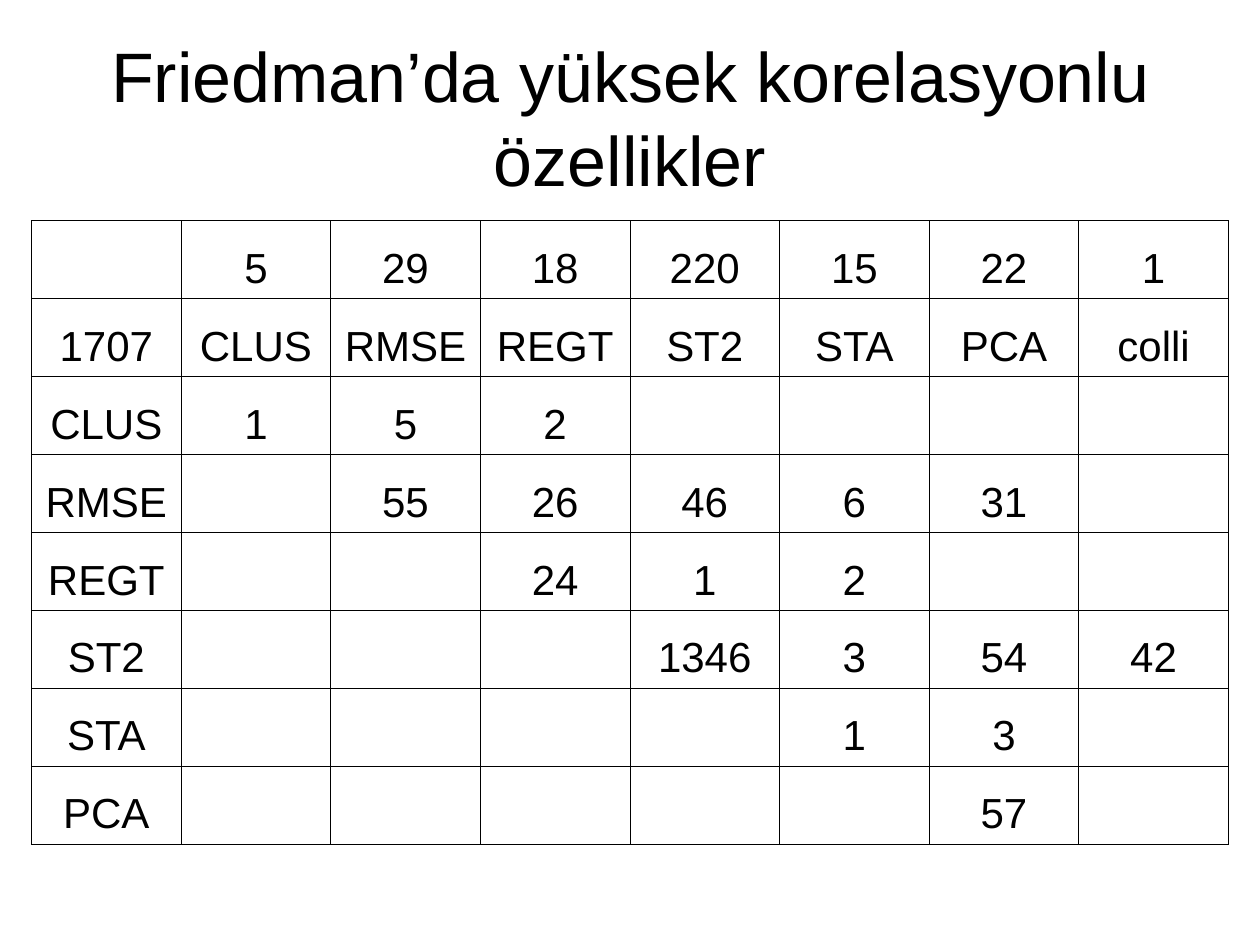
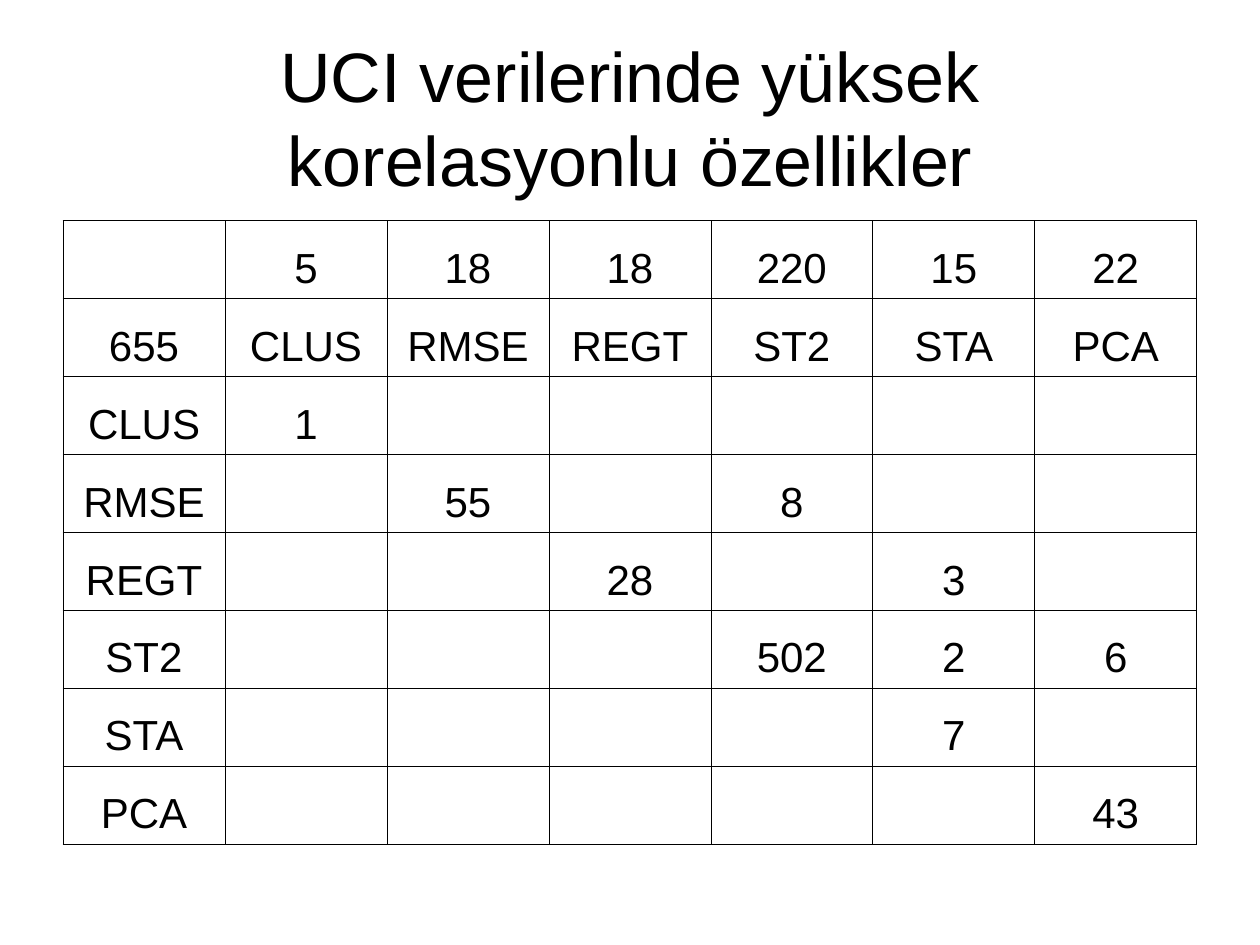
from dataclasses import dataclass

from lxml import etree
from pptx import Presentation
from pptx.dml.color import RGBColor
from pptx.enum.text import MSO_ANCHOR, PP_ALIGN
from pptx.oxml.ns import qn
from pptx.util import Inches, Pt

CENTER = PP_ALIGN.CENTER
MIDDLE, BOTTOM = MSO_ANCHOR.MIDDLE, MSO_ANCHOR.BOTTOM

COLORS = {"ink": "000000"}
FONT = "Arial"
TITLE_SIZE, CELL_SIZE, BORDER = 40, 24, 0.45

# Slide size, and positions as shares of it
WIDTH, HEIGHT = Inches(10), Inches(7.5)
TITLE_LEFT, TITLE_TOP, TITLE_HEIGHT = 0.05, 0.04, 1 / 6
TABLE_TOP, TABLE_HEIGHT = 7 / 30, 0.66

METHODS = ["CLUS", "RMSE", "REGT", "ST2", "STA", "PCA"]


@dataclass
class CorrelationSlide:
    title: str
    margin: float            # table side margin, share of the slide width
    total: str
    columns: list[str]
    counts: list[str]
    triangle: list[list[str]]  # each row starts on the diagonal

    def rows(self) -> list[list[str]]:
        """Two header rows, then one row per method, padded to full width."""
        width = len(self.columns)
        body = []
        for i, (method, values) in enumerate(zip(METHODS, self.triangle)):
            cells = [""] * i + values
            body.append([method] + cells + [""] * (width - len(cells)))
        return [["", *self.counts], [self.total, *self.columns], *body]


SLIDES = [
    CorrelationSlide(
        "Friedman’da yüksek korelasyonlu özellikler", 0.025, "1707",
        METHODS + ["colli"],
        ["5", "29", "18", "220", "15", "22", "1"],
        [["1", "5", "2"],
         ["55", "26", "46", "6", "31"],
         ["24", "1", "2"],
         ["1346", "3", "54", "42"],
         ["1", "3"],
         ["57"]]),
    CorrelationSlide(
        "UCI verilerinde yüksek korelasyonlu özellikler", 0.05, "655",
        METHODS,
        ["5", "18", "18", "220", "15", "22"],
        [["1"],
         ["55", "", "8"],
         ["28", "", "3"],
         ["502", "2", "6"],
         ["7"],
         ["43"]]),
]


def style_paragraph(p, size: float) -> None:
    p.alignment = CENTER
    for r in p.runs:
        r.font.name = FONT
        r.font.size = Pt(size)
        r.font.color.rgb = RGBColor.from_string(COLORS["ink"])


def add_title(s, text: str) -> None:
    box = s.shapes.add_textbox(
        int(WIDTH * TITLE_LEFT), int(HEIGHT * TITLE_TOP),
        int(WIDTH * (1 - 2 * TITLE_LEFT)), int(HEIGHT * TITLE_HEIGHT))
    tf = box.text_frame
    tf.word_wrap = True
    tf.vertical_anchor = MIDDLE
    tf.text = text
    style_paragraph(tf.paragraphs[0], TITLE_SIZE)


def add_borders(cell) -> None:
    tc_pr = cell._tc.get_or_add_tcPr()
    for i, side in enumerate(("a:lnL", "a:lnR", "a:lnT", "a:lnB")):
        ln = etree.Element(qn(side), w=str(Pt(BORDER)))
        fill = etree.SubElement(ln, qn("a:solidFill"))
        etree.SubElement(fill, qn("a:srgbClr"), val=COLORS["ink"])
        tc_pr.insert(i, ln)


def add_grid(s, rows: list[list[str]], margin: float) -> None:
    n_rows, n_cols = len(rows), len(rows[0])
    width, height = int(WIDTH * (1 - 2 * margin)), int(HEIGHT * TABLE_HEIGHT)
    table = s.shapes.add_table(
        n_rows, n_cols, int(WIDTH * margin), int(HEIGHT * TABLE_TOP),
        width, height).table
    table.first_row = table.horz_banding = False
    for row, values in zip(table.rows, rows):
        for cell, value in zip(row.cells, values):
            cell.text = value
            cell.vertical_anchor = BOTTOM
            cell.fill.background()
            add_borders(cell)
            style_paragraph(cell.text_frame.paragraphs[0], CELL_SIZE)


def main() -> None:
    prs = Presentation()
    prs.slide_width, prs.slide_height = WIDTH, HEIGHT
    for content in SLIDES:
        s = prs.slides.add_slide(prs.slide_layouts[6])
        add_title(s, content.title)
        add_grid(s, content.rows(), content.margin)
    prs.save("out.pptx")


if __name__ == "__main__":
    main()
